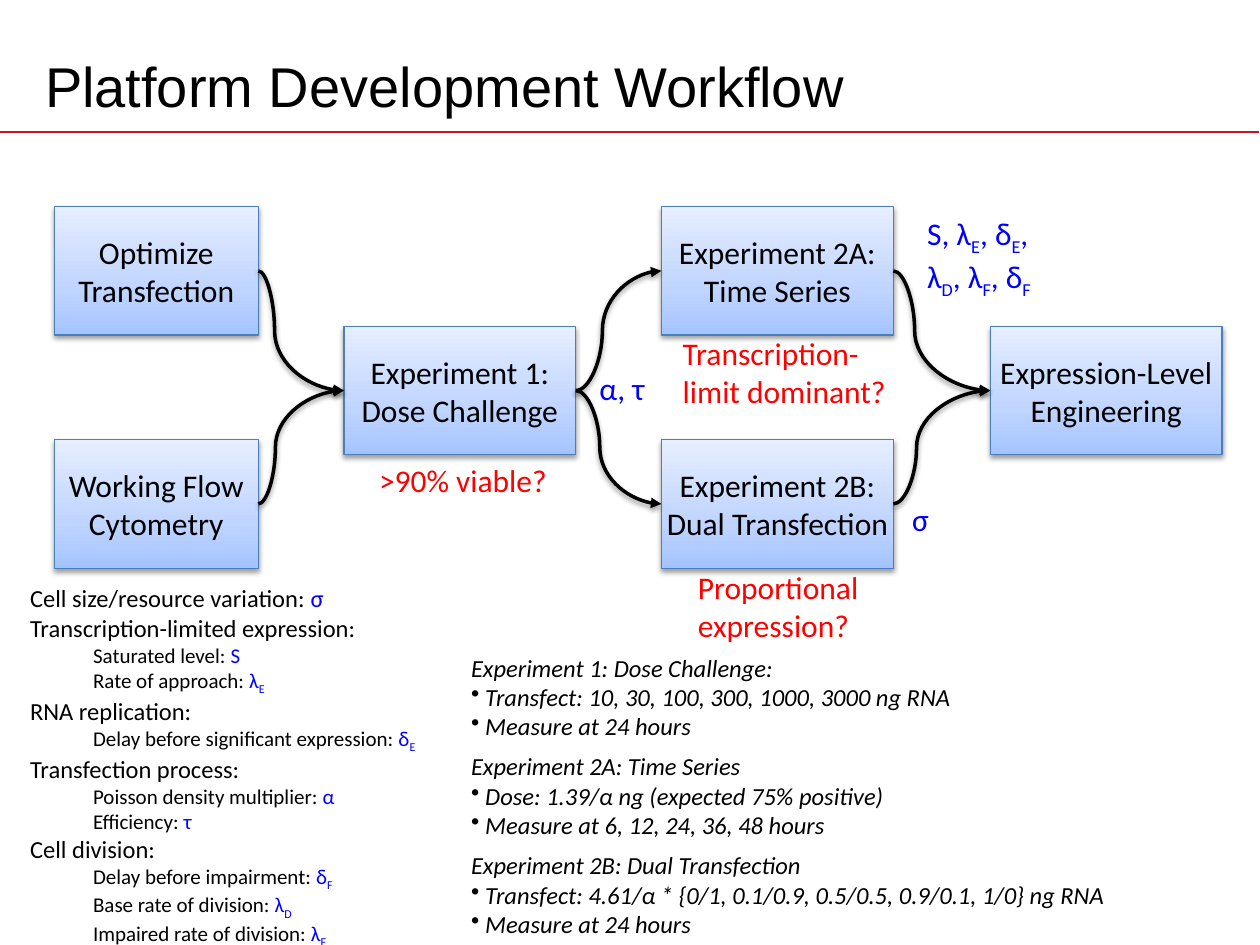
from copy import deepcopy

from lxml import etree
from pptx import Presentation
from pptx.dml.color import RGBColor
from pptx.enum.shapes import MSO_CONNECTOR, MSO_SHAPE
from pptx.enum.text import MSO_ANCHOR, MSO_AUTO_SIZE, PP_ALIGN
from pptx.oxml.ns import qn
from pptx.util import Inches, Pt

STRAIGHT, CURVE = MSO_CONNECTOR.STRAIGHT, MSO_CONNECTOR.CURVE
RECTANGLE = MSO_SHAPE.RECTANGLE
MIDDLE, CENTER = MSO_ANCHOR.MIDDLE, PP_ALIGN.CENTER
GROW = MSO_AUTO_SIZE.SHAPE_TO_FIT_TEXT
BLACK, RED, BLUE = "000000", "FF0000", "0000FF"
LEFT_SIDE, RIGHT_SIDE = 1, 3


def write(para, text, size=18, color=BLACK, italic=None, font="Calibri"):
    """Add text to a paragraph; the letter after each underscore is a subscript."""
    first, *rest = text.split("_")
    pieces = [(first, False)]
    for part in rest:
        pieces += [(part[0], True), (part[1:], False)]
    for piece, subscript in pieces:
        if not piece:
            continue
        span = para.add_run()
        span.text = piece
        span.font.name = font
        span.font.size = Pt(size)
        span.font.italic = italic
        span.font.color.rgb = RGBColor.from_string(color)
        if subscript:
            span.font._element.set("baseline", "-25000")


def add_shadow(shape):
    effects = etree.SubElement(shape._element.spPr, qn("a:effectLst"))
    shadow = etree.SubElement(effects, qn("a:outerShdw"), blurRad=str(Pt(3.1)),
                              dist=str(Pt(1.6)), dir="5400000", rotWithShape="0")
    color = etree.SubElement(shadow, qn("a:srgbClr"), val=BLACK)
    etree.SubElement(color, qn("a:alpha"), val="38000")


deck = Presentation()
deck.slide_width, deck.slide_height = Inches(10), Inches(7.5)
page = deck.slides.add_slide(deck.slide_layouts[6])

# Title and rule
rule = page.shapes.add_connector(STRAIGHT, 0, Inches(1.05), Inches(9.99), Inches(1.05))
rule.line.color.rgb = RGBColor.from_string("CE1126")
rule.line.width = Pt(1)
etree.SubElement(rule._element.spPr, qn("a:effectLst"))

title = page.shapes.add_textbox(Inches(0.26), Inches(0.3), Inches(9), Inches(0.75))
title.text_frame.word_wrap = True
title.text_frame.vertical_anchor = MIDDLE
write(title.text_frame.paragraphs[0], "Platform Development Workflow", size=32, font="Arial")

# Workflow steps: left, top, width, side inset
TOP_ROW, MIDDLE_ROW, BOTTOM_ROW = 1.64, 2.59, 3.49
steps = {
    "Optimize Transfection": (0.43, TOP_ROW, 1.62, 0.1),
    "Working Flow Cytometry": (0.43, BOTTOM_ROW, 1.62, 0.1),
    "Experiment 1: Dose Challenge": (2.73, MIDDLE_ROW, 1.84, 0.1),
    "Experiment 2B: Dual Transfection": (5.25, BOTTOM_ROW, 1.84, 0),
    "Experiment 2A: Time Series": (5.25, TOP_ROW, 1.84, 0.1),
    "Expression-Level Engineering": (7.86, MIDDLE_ROW, 1.84, 0),
}
gradient = [(0, "A4C4FF"), (0.35, "BFD4FF"), (1, "E6EEFF")]
boxes = []
for text, (left, top, width, inset) in steps.items():
    box = page.shapes.add_shape(RECTANGLE, Inches(left), Inches(top), Inches(width), Inches(1.02))
    box.fill.gradient()
    box.fill.gradient_angle = 90
    stop_list = box._element.spPr.find(".//" + qn("a:gsLst"))
    stop_list.append(deepcopy(stop_list[0]))
    for stop, (position, color) in zip(box.fill.gradient_stops, gradient):
        stop.position = position
        stop.color.rgb = RGBColor.from_string(color)
    box.line.color.rgb = RGBColor.from_string("4B7EBC")
    box.line.width = Pt(0.75)
    add_shadow(box)
    frame = box.text_frame
    frame.word_wrap = True
    frame.vertical_anchor = MIDDLE
    frame.margin_left = frame.margin_right = Inches(inset)
    frame.paragraphs[0].alignment = CENTER
    write(frame.paragraphs[0], text)
    boxes.append(box)
optimize, cytometry, dose, dual, series, engineering = boxes

# Curved arrows: the bend is the share of the width where the curve turns
arrows = [
    (optimize, dose, 0.19), (dose, series, 0.31), (dose, dual, 0.28),
    (dual, engineering, 0.24), (series, engineering, 0.22), (cytometry, dose, 0.2),
]
for source, target, bend in arrows:
    arrow = page.shapes.add_connector(CURVE, 0, 0, 0, 0)
    arrow.begin_connect(source, RIGHT_SIDE)
    arrow.end_connect(target, LEFT_SIDE)
    arrow.line.color.rgb = RGBColor.from_string(BLACK)
    arrow.line.width = Pt(2)
    properties = arrow._element.spPr
    etree.SubElement(properties.find(qn("a:ln")), qn("a:tailEnd"), type="triangle")
    guides = properties.find(qn("a:prstGeom")).get_or_add_avLst()
    etree.SubElement(guides, qn("a:gd"), name="adj1", fmla=f"val {round(bend * 100000)}")
    add_shadow(arrow)

# Questions in red, parameters in blue: left, top, width, height, wrap
labels = [
    (2.91, 3.61, 1.55, 0.4, False, RED, [">90% viable?"]),
    (5.32, 2.6, 1.82, 0.71, True, RED, ["Transcription-limit dominant?"]),
    (5.44, 4.46, 1.49, 0.71, False, RED, ["Proportional", "expression?"]),
    (4.66, 2.88, 0.57, 0.4, False, BLUE, ["α, τ"]),
    (7.26, 1.65, 1.07, 0.71, False, BLUE, ["S, λ_E, δ_E,", "λ_D, λ_F, δ_F"]),
    (7.14, 3.92, 0.34, 0.4, False, BLUE, ["σ"]),
]
for left, top, width, height, wrap, color, lines in labels:
    label = page.shapes.add_textbox(Inches(left), Inches(top), Inches(width), Inches(height))
    frame = label.text_frame
    frame.word_wrap = wrap
    frame.auto_size = GROW
    for index, line in enumerate(lines):
        para = frame.add_paragraph() if index else frame.paragraphs[0]
        write(para, line, color=color)

# Parameter legend: level, description, symbol
legend = [
    (0, "Cell size/resource variation: ", "σ"),
    (0, "Transcription-limited expression:", ""),
    (1, "Saturated level: ", "S"),
    (1, "Rate of approach: ", "λ_E"),
    (0, "RNA replication:", ""),
    (1, "Delay before significant expression: ", "δ_E"),
    (0, "Transfection process:", ""),
    (1, "Poisson density multiplier: ", "α"),
    (1, "Efficiency: ", "τ"),
    (0, "Cell division:", ""),
    (1, "Delay before impairment: ", "δ_F"),
    (1, "Base rate of division: ", "λ_D"),
    (1, "Impaired rate of division: ", "λ_F"),
]
legend_box = page.shapes.add_textbox(Inches(0.14), Inches(4.58), Inches(3.31), Inches(2.89))
frame = legend_box.text_frame
frame.word_wrap = True
frame.auto_size = GROW
for index, (level, description, symbol) in enumerate(legend):
    para = frame.add_paragraph() if index else frame.paragraphs[0]
    para.level = level
    para._p.get_or_add_pPr().set("marL", str(Inches(0.5 * level)))
    size = 12 if level else 14
    write(para, description, size=size)
    write(para, symbol, size=size, color=BLUE)

# Protocols: a heading and its bulleted steps
protocols = {
    "Experiment 1: Dose Challenge:": [
        "Transfect: 10, 30, 100, 300, 1000, 3000 ng RNA", "Measure at 24 hours"],
    "Experiment 2A: Time Series": [
        "Dose: 1.39/α ng (expected 75% positive)", "Measure at 6, 12, 24, 36, 48 hours"],
    "Experiment 2B: Dual Transfection": [
        "Transfect: 4.61/α * {0/1, 0.1/0.9, 0.5/0.5, 0.9/0.1, 1/0} ng RNA",
        "Measure at 24 hours"],
}
protocol_box = page.shapes.add_textbox(Inches(3.64), Inches(5.13), Inches(5.44), Inches(2.39))
frame = protocol_box.text_frame
frame.word_wrap = True
frame.auto_size = GROW
para = frame.paragraphs[0]
for index, (heading, actions) in enumerate(protocols.items()):
    if index:
        para.space_after = Pt(6)
        para = frame.add_paragraph()
    write(para, heading, size=14, italic=True)
    for action in actions:
        para = frame.add_paragraph()
        etree.SubElement(para._p.get_or_add_pPr(), qn("a:buChar"), char="•")
        write(para, " " + action, size=14, italic=True)

deck.save("out.pptx")
